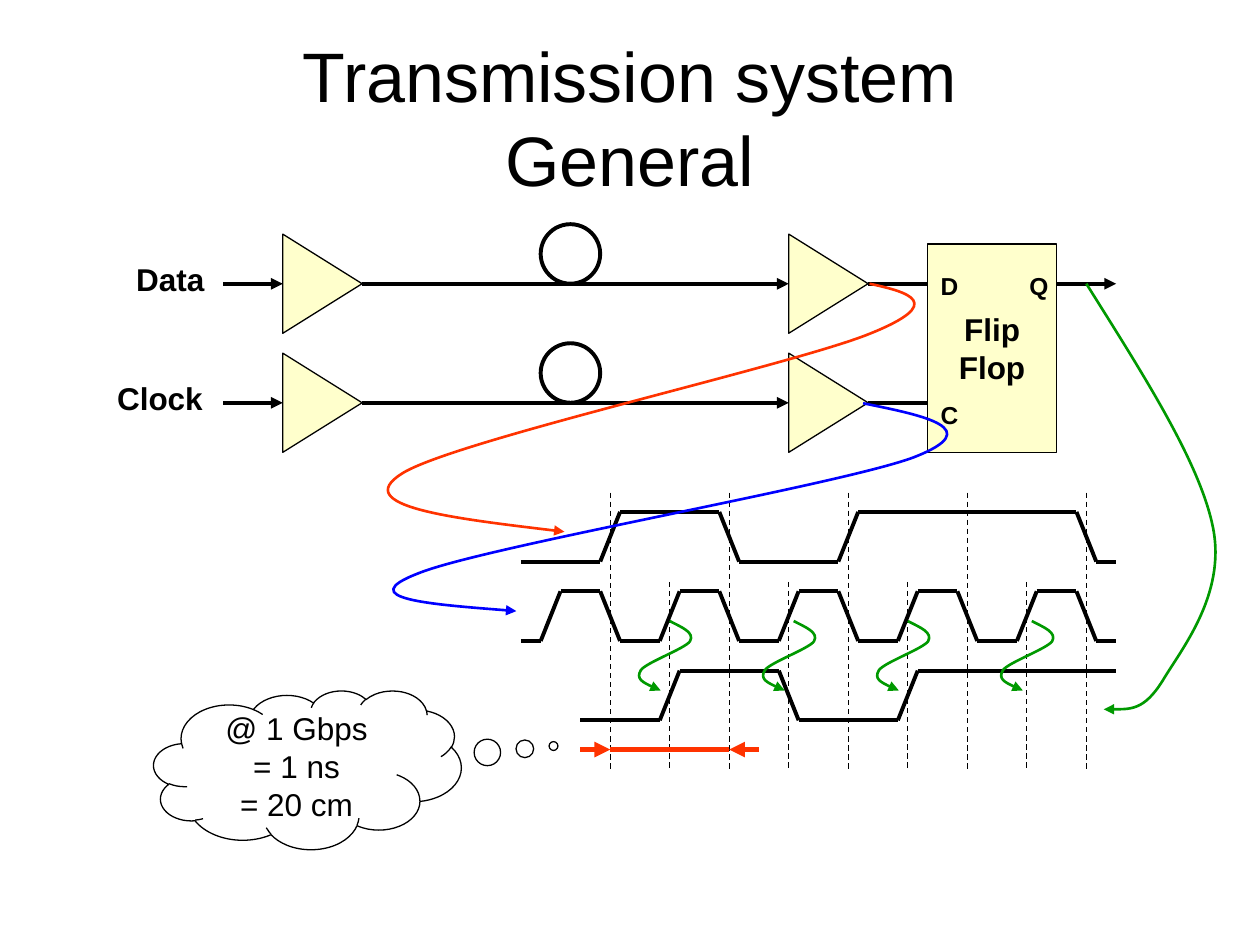
import pptx
import pptx.dml.color
import pptx.enum.dml
import pptx.enum.shapes
import pptx.enum.text
import pptx.oxml.ns
import pptx.oxml.xmlchemy
import pptx.util
from lxml import etree

Cm = pptx.util.Cm
SHAPE = pptx.enum.shapes.MSO_SHAPE
ALIGN = pptx.enum.text.PP_ALIGN
ANCHOR = pptx.enum.text.MSO_ANCHOR
qn = pptx.oxml.ns.qn

BLACK, WHITE, CREAM = "000000", "FFFFFF", "FFFFCC"
RED, BLUE, GREEN = "FF3300", "0000FF", "009900"
DATA_Y, CLOCK_Y = 5.72, 8.12
FIRST_TICK, PERIOD, LAST_X = 12.3, 2.4, 22.5

DATA_CURVE = [(17.53, 5.72), (18.31, 5.89), (19.1, 6.1), (17.53, 6.73),
              (15.95, 7.37), (9.12, 8.89), (8.1, 9.55),
              (7.06, 10.21), (9.22, 10.46), (11.38, 10.72)]
CLOCK_CURVE = [(17.4, 8.13), (18.64, 8.38), (19.91, 8.64), (18.42, 9.22),
               (16.92, 9.78), (9.75, 11.02), (8.43, 11.56),
               (7.11, 12.07), (8.76, 12.19), (10.41, 12.32)]
OUTPUT_CURVE = [(21.9, 5.72), (23.04, 7.54), (24.21, 9.35), (24.46, 10.67),
                (24.71, 12.01), (23.8, 13.11), (23.44, 13.72),
                (23.06, 14.33), (22.66, 14.3), (22.25, 14.3)]
# Offsets from the clock edge that triggers the flip flop
TRIGGER_CURVE = [(0, 0), (0.25, 0.13), (0.51, 0.23), (0.41, 0.41),
                 (0.3, 0.56), (-0.48, 0.84), (-0.58, 0.99),
                 (-0.69, 1.17), (-0.43, 1.3), (-0.18, 1.4)]


def rgb(color):
    return pptx.dml.color.RGBColor.from_string(color)


def style_line(sp, color, width, dashed=False, arrow=False):
    sp.line.color.rgb = rgb(color)
    sp.line.width = pptx.util.Pt(width)
    if dashed:
        sp.line.dash_style = pptx.enum.dml.MSO_LINE.DASH
    if arrow:
        etree.SubElement(sp.line._get_or_add_ln(), qn("a:tailEnd"), type="triangle")


def write(sp, text, size=18, bold=False, align=ALIGN.CENTER,
          anchor=ANCHOR.MIDDLE, wrap=False):
    tf = sp.text_frame
    tf.word_wrap = wrap
    tf.vertical_anchor = anchor
    tf.text = text
    for p in tf.paragraphs:
        p.alignment = align
        for r in p.runs:
            r.font.name = "Arial"
            r.font.size = pptx.util.Pt(size)
            r.font.bold = bold
            r.font.color.rgb = rgb(BLACK)


def add_label(s, text, x, y, w, h, **fmt):
    write(s.shapes.add_textbox(Cm(x), Cm(y), Cm(w), Cm(h)), text, **fmt)


def add_box(s, kind, x, y, w, h, fill=None, width=0.75):
    sp = s.shapes.add_shape(kind, Cm(x), Cm(y), Cm(w), Cm(h))
    sp.shadow.inherit = False
    if fill:
        sp.fill.solid()
        sp.fill.fore_color.rgb = rgb(fill)
    else:
        sp.fill.background()
    style_line(sp, BLACK, width)
    return sp


def add_line(s, start, end, color=BLACK, width=2.25, **fmt):
    ends = [Cm(v) for v in (*start, *end)]
    sp = s.shapes.add_connector(pptx.enum.shapes.MSO_CONNECTOR.STRAIGHT, *ends)
    style_line(sp, color, width, **fmt)
    etree.SubElement(sp._element.spPr, qn("a:effectLst"))


def add_curve(s, points, color):
    """Draw a Bezier arrow: a start point, then two controls and an end per segment."""
    start, *rest = [(Cm(x), Cm(y)) for x, y in points]
    builder = s.shapes.build_freeform(*start)
    builder.add_line_segments(rest, close=False)
    sp = builder.convert_to_shape()
    sp.shadow.inherit = False
    sp.fill.background()
    style_line(sp, color, 1.5, arrow=True)
    outline = sp._element.spPr.find(".//" + qn("a:path"))
    steps = outline.findall(qn("a:lnTo"))
    for i in range(0, len(steps), 3):
        bezier = etree.SubElement(outline, qn("a:cubicBezTo"))
        for step in steps[i:i + 3]:
            bezier.append(step[0])
            outline.remove(step)


def add_amplifier(s, x, y):
    """Draw a triangle pointing right, with its left side at x and its axis at y."""
    w, h = 2, 1.6
    sp = add_box(s, SHAPE.ISOSCELES_TRIANGLE, x + (h - w) / 2, y - h / 2, w, h, CREAM)
    sp.rotation = 90


def add_channel(s, y):
    add_amplifier(s, 15.9, y)
    add_amplifier(s, 5.7, y)
    add_line(s, (4.5, y), (5.7, y), arrow=True)
    add_line(s, (7.3, y), (15.9, y), arrow=True)
    add_line(s, (17.5, y), (18.7, y))
    add_box(s, SHAPE.OVAL, 10.9, y - 1.2, 1.2, 1.2, width=2.25)


def add_flip_flop(s):
    sp = add_box(s, SHAPE.RECTANGLE, 18.7, 4.92, 2.6, 4.2, CREAM)
    write(sp, "Flip\nFlop", bold=True)
    for pin, x, y in (("D", 18.7, 5.33), ("C", 18.7, 7.93), ("Q", 20.5, 5.33)):
        add_label(s, pin, x, y, 0.88, 0.84, size=14, bold=True, anchor=ANCHOR.TOP)
    add_line(s, (21.3, DATA_Y), (LAST_X, DATA_Y), arrow=True)


def add_waveform(s, start, edges, high):
    """Draw a signal that starts low and changes level at each edge."""
    y, other = high + 1, high
    points = [(start, y)]
    for x in edges:
        points += [(x - 0.2, y), (x + 0.2, other)]
        y, other = other, y
    points.append((LAST_X, y))
    for a, b in zip(points, points[1:]):
        add_line(s, a, b)


def add_timing_diagram(s):
    for first, count, top in ((FIRST_TICK, 5, 9.93), (FIRST_TICK + PERIOD / 2, 4, 11.73)):
        for i in range(count):
            x = first + i * PERIOD
            add_line(s, (x, top), (x, 15.52), width=0.75, dashed=True)
    add_waveform(s, 10.5, [12.3, 14.7, 17.1, 21.9], 10.32)
    add_waveform(s, 10.5, [11.1 + i * PERIOD / 2 for i in range(10)], 11.92)
    add_waveform(s, 11.7, [13.5, 15.9, 18.3], 13.52)
    for x in (13.5, 16, 18.3, 20.8):
        add_curve(s, [(x + dx, 12.52 + dy) for dx, dy in TRIGGER_CURVE], GREEN)


def add_bit_length(s):
    cloud = add_box(s, SHAPE.CLOUD_CALLOUT, 3.1, 13.92, 6.2, 3.2, WHITE)
    cloud.adjustments[0] = 0.8
    cloud.adjustments[1] = -0.15
    write(cloud, "@ 1 Gbps\n= 1 ns\n= 20 cm", wrap=True)
    y, left, right = 15.11, FIRST_TICK, FIRST_TICK + PERIOD
    add_line(s, (left - 0.6, y), (left, y), RED, 3, arrow=True)
    add_line(s, (right + 0.6, y), (right, y), RED, 3, arrow=True)
    add_line(s, (right, y), (left, y), RED, 3)


def main():
    prs = pptx.Presentation()
    prs.slide_width, prs.slide_height = Cm(25.4), Cm(19.05)
    s = prs.slides.add_slide(prs.slide_layouts[6])
    add_flip_flop(s)
    add_label(s, "Transmission system\vGeneral", 1.27, 0.76, 22.86, 3.18,
              size=40, wrap=True)
    for text, x, y, w in (("Data", 2.49, DATA_Y, 1.88), ("Clock", 2.1, CLOCK_Y, 2.24)):
        add_channel(s, y)
        add_label(s, text, x, y - 0.6, w, 1.02, bold=True, align=ALIGN.RIGHT,
                  anchor=ANCHOR.TOP)
    add_timing_diagram(s)
    add_curve(s, DATA_CURVE, RED)
    add_curve(s, CLOCK_CURVE, BLUE)
    add_curve(s, OUTPUT_CURVE, GREEN)
    add_bit_length(s)
    prs.save("out.pptx")


if __name__ == "__main__":
    main()
